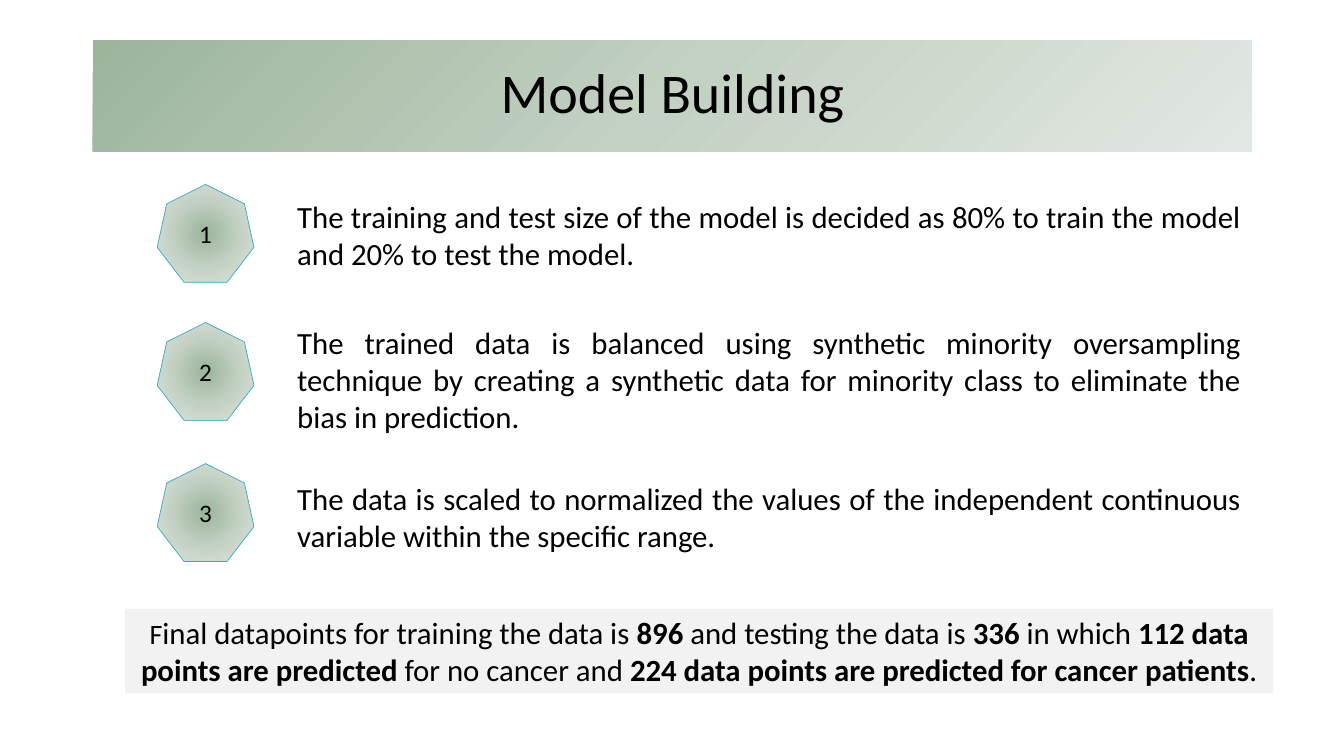
from dataclasses import dataclass
from typing import NamedTuple

from lxml import etree
from pptx import Presentation
from pptx.dml.color import RGBColor
from pptx.enum.shapes import MSO_SHAPE
from pptx.enum.text import MSO_ANCHOR, MSO_AUTO_SIZE, PP_ALIGN
from pptx.oxml.ns import qn
from pptx.util import Inches, Pt

HEPTAGON, RECTANGLE = MSO_SHAPE.HEPTAGON, MSO_SHAPE.RECTANGLE
TOP, MIDDLE = MSO_ANCHOR.TOP, MSO_ANCHOR.MIDDLE
CENTER, JUSTIFY = PP_ALIGN.CENTER, PP_ALIGN.JUSTIFY
FIXED, GROW = MSO_AUTO_SIZE.NONE, MSO_AUTO_SIZE.SHAPE_TO_FIT_TEXT

# Grid: square cells of a tenth of an inch
CELL = Inches(0.1)
SLIDE_COLUMNS, SLIDE_ROWS = 133.33, 75
TITLE_ONLY_LAYOUT = 5


@dataclass(frozen=True)
class Theme:
    font: str = "Calibri"
    text: str = "000000"
    badge_line: str = "36AFCE"
    summary_fill: str = "F2F2F2"
    gradient: tuple[tuple[int, str], ...] = ((0, "9BB59B"), (50, "C3D1C3"), (100, "E2E8E2"))
    title_size: float = 40
    body_size: float = 22
    lead_size: float = 20
    badge_size: float = 18
    badge_line_width: float = 0.5


class Area(NamedTuple):
    column: float
    row: float
    columns: float
    rows: float

    def lengths(self) -> list[int]:
        return [round(cells * CELL) for cells in self]


class Span(NamedTuple):
    text: str
    size: float
    bold: bool = False


class Step(NamedTuple):
    badge_row: float
    text_row: float
    text_rows: float
    text: str


THEME = Theme()
TITLE_AREA = Area(9.2, 4, 115, 11)
SUMMARY_AREA = Area(12.4, 60.4, 113.9, 8.4)
BADGE_COLUMN, BADGE_COLUMNS, BADGE_ROWS = 15.6, 9.6, 9.7
TEXT_COLUMN, TEXT_COLUMNS = 28.5, 95.6

STEPS = (
    Step(18.3, 19.1, 8.4,
         "The training and test size of the model is decided as 80% to train the model "
         "and 20% to test the model."),
    Step(32, 31.6, 12.1,
         "The trained data is balanced using synthetic minority oversampling technique "
         "by creating a synthetic data for minority class to eliminate the bias in prediction."),
    Step(46, 47.1, 8.4,
         "The data is scaled to normalized the values of the independent continuous "
         "variable within the specific range."),
)

SUMMARY = (
    Span("F", THEME.lead_size),
    Span("inal datapoints for training the data is ", THEME.body_size),
    Span("896", THEME.body_size, True),
    Span(" and testing the data is ", THEME.body_size),
    Span("336", THEME.body_size, True),
    Span(" in which ", THEME.body_size),
    Span("112 data points are predicted", THEME.body_size, True),
    Span(" for no cancer and ", THEME.body_size),
    Span("224 data points are predicted for cancer patients", THEME.body_size, True),
    Span(".", THEME.body_size),
)


def apply_format(target, values: dict) -> None:
    for name, value in values.items():
        setattr(target, name, value)


def fill_gradient(shape, radial: bool = False) -> None:
    """Fill with the theme gradient, diagonal or from the centre outwards."""
    shape.fill.gradient()
    gradient = shape._element.spPr.find(qn("a:gradFill"))
    for child in list(gradient):
        gradient.remove(child)
    stops = etree.SubElement(gradient, qn("a:gsLst"))
    for percent, color in THEME.gradient:
        stop = etree.SubElement(stops, qn("a:gs"), pos=str(percent * 1000))
        etree.SubElement(stop, qn("a:srgbClr"), val=color)
    if radial:
        circle = etree.SubElement(gradient, qn("a:path"), path="circle")
        etree.SubElement(circle, qn("a:fillToRect"), dict.fromkeys("ltrb", "50000"))
    else:
        etree.SubElement(gradient, qn("a:lin"), ang=str(45 * 60000), scaled="0")


def write_text(shape, spans: tuple[Span, ...], alignment, anchor, auto_size):
    frame = shape.text_frame
    apply_format(frame, {"word_wrap": True, "auto_size": auto_size, "vertical_anchor": anchor})
    paragraph = frame.paragraphs[0]
    paragraph.alignment = alignment
    for span in spans:
        run = paragraph.add_run()
        run.text = span.text
        apply_format(run.font, {"name": THEME.font, "size": Pt(span.size), "bold": span.bold})
        run.font.color.rgb = RGBColor.from_string(THEME.text)
    return paragraph


def add_title(slide, text: str) -> None:
    title = slide.shapes.title
    apply_format(title, dict(zip(("left", "top", "width", "height"), TITLE_AREA.lengths())))
    fill_gradient(title)
    paragraph = write_text(title, (Span(text, THEME.title_size),), CENTER, MIDDLE, FIXED)
    paragraph.line_spacing = 0.9


def add_step(slide, number: int, step: Step) -> None:
    badge_area = Area(BADGE_COLUMN, step.badge_row, BADGE_COLUMNS, BADGE_ROWS)
    badge = slide.shapes.add_shape(HEPTAGON, *badge_area.lengths())
    badge.shadow.inherit = False
    fill_gradient(badge, radial=True)
    badge.line.color.rgb = RGBColor.from_string(THEME.badge_line)
    badge.line.width = Pt(THEME.badge_line_width)
    write_text(badge, (Span(str(number), THEME.badge_size),), CENTER, MIDDLE, FIXED)

    text_area = Area(TEXT_COLUMN, step.text_row, TEXT_COLUMNS, step.text_rows)
    text_box = slide.shapes.add_textbox(*text_area.lengths())
    write_text(text_box, (Span(step.text, THEME.body_size),), JUSTIFY, TOP, GROW)


def add_summary(slide) -> None:
    summary = slide.shapes.add_shape(RECTANGLE, *SUMMARY_AREA.lengths())
    summary.shadow.inherit = False
    summary.fill.solid()
    summary.fill.fore_color.rgb = RGBColor.from_string(THEME.summary_fill)
    summary.line.fill.background()
    write_text(summary, SUMMARY, CENTER, TOP, GROW)


def main() -> None:
    presentation = Presentation()
    presentation.slide_width = round(SLIDE_COLUMNS * CELL)
    presentation.slide_height = SLIDE_ROWS * CELL
    slide = presentation.slides.add_slide(presentation.slide_layouts[TITLE_ONLY_LAYOUT])

    # Title band
    add_title(slide, "Model Building")
    # Numbered steps
    for number, step in enumerate(STEPS, start=1):
        add_step(slide, number, step)
    # Closing result
    add_summary(slide)

    presentation.save("out.pptx")


if __name__ == "__main__":
    main()
